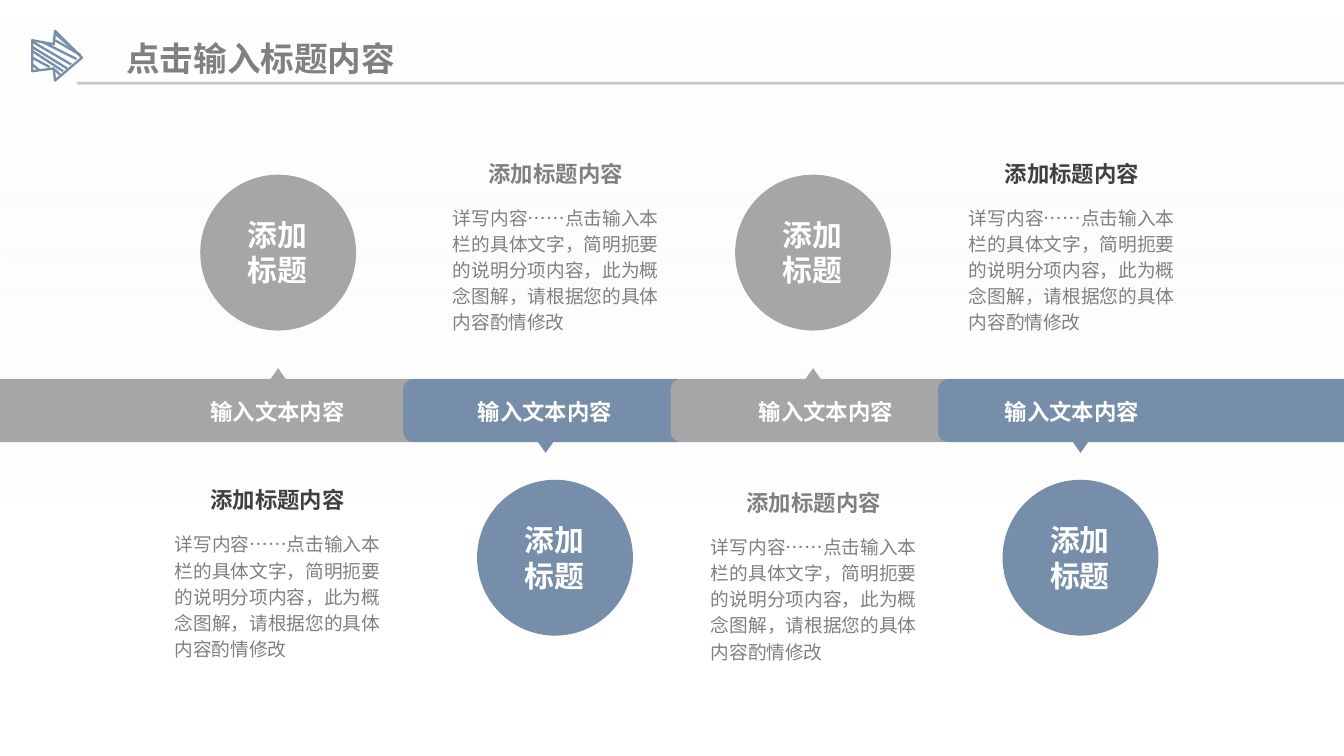
from lxml import etree
from pptx import Presentation
from pptx import util as u
from pptx.dml.color import RGBColor
from pptx.enum import shapes, text
from pptx.oxml import ns

WHITE = RGBColor(0xFF, 0xFF, 0xFF)
PALE = RGBColor(0xF2, 0xF2, 0xF2)
RULE = RGBColor(0xC4, 0xC7, 0xCB)
SILVER = RGBColor(0xA6, 0xA6, 0xA6)
BLUE = RGBColor(0x76, 0x8E, 0xA9)
GRAY = RGBColor(0x80, 0x80, 0x80)
DARK = RGBColor(0x40, 0x40, 0x40)

BODY = "详写内容……点击输入本栏的具体文字，简明扼要的说明分项内容，此为概念图解，请根据您的具体内容酌情修改"


class SlideBuilder:
    font = "Noto Sans CJK SC"

    def __init__(self, slide):
        self.slide = slide

    def shape(self, kind, left, top, width, height, color):
        shape = self.slide.shapes.add_shape(
            kind, u.Inches(left), u.Inches(top), u.Inches(width), u.Inches(height))
        shape.shadow.inherit = False
        shape.fill.solid()
        shape.fill.fore_color.rgb = color
        shape.line.fill.background()
        return shape

    def backdrop(self):
        shape = self.shape(shapes.MSO_SHAPE.RECTANGLE, 0, 0, 10, 5.63, WHITE)
        shape.fill.gradient()
        shape.fill.gradient_angle = 270
        settings = [(WHITE, 0, 55000), (PALE, 0.71, 0)]
        for stop, (color, position, _) in zip(shape.fill.gradient_stops, settings):
            stop.color.rgb = color
            stop.position = position
        color_nodes = shape.element.spPr.findall(".//" + ns.qn("a:srgbClr"))
        for node, (_, _, opacity) in zip(color_nodes, settings):
            etree.SubElement(node, ns.qn("a:alpha"), val=str(opacity))

    def freeform(self, contours):
        paths = [[(u.Inches(x), u.Inches(y)) for x, y in contour] for contour in contours]
        builder = self.slide.shapes.build_freeform(*paths[0][0])
        builder.add_line_segments(paths[0][1:], close=True)
        for start, *rest in paths[1:]:
            builder.move_to(*start)
            builder.add_line_segments(rest, close=False)
        shape = builder.convert_to_shape()
        shape.shadow.inherit = False
        return shape

    def title_rule(self):
        rule = self.freeform([[(0.57, 0.61), (10, 0.61), (10, 0.63), (0.58, 0.63)]])
        rule.fill.solid()
        rule.fill.fore_color.rgb = RULE
        rule.line.fill.background()

    def arrow_icon(self):
        outline = [(0.24, 0.3), (0.4, 0.33), (0.41, 0.23), (0.61, 0.43),
                   (0.41, 0.6), (0.4, 0.51), (0.24, 0.53)]
        hatches = [[(0.41, 0.25), (0.55, 0.37)], [(0.41, 0.3), (0.6, 0.41)],
                   [(0.31, 0.31), (0.57, 0.44)], [(0.24, 0.31), (0.53, 0.48)],
                   [(0.24, 0.35), (0.5, 0.51)], [(0.24, 0.38), (0.47, 0.53)],
                   [(0.24, 0.43), (0.37, 0.5)], [(0.24, 0.48), (0.29, 0.52)],
                   [(0.41, 0.52), (0.45, 0.56)]]
        icon = self.freeform([outline, *hatches])
        icon.fill.background()
        icon.line.color.rgb = BLUE
        icon.line.width = u.Pt(1.25)

    def label(self, words, left, top, width, height, size, color, bold=True,
              align=text.PP_ALIGN.CENTER, spacing=None, anchor=text.MSO_ANCHOR.TOP):
        box = self.slide.shapes.add_textbox(
            u.Inches(left), u.Inches(top), u.Inches(width), u.Inches(height))
        frame = box.text_frame
        frame.word_wrap = True
        frame.vertical_anchor = anchor
        frame.margin_left = frame.margin_right = frame.margin_top = frame.margin_bottom = 0
        frame.text = words
        para = frame.paragraphs[0]
        para.alignment = align
        if spacing:
            para.line_spacing = u.Pt(spacing)
        for span in para.runs:
            span.font.name = self.font
            span.font.size = u.Pt(size)
            span.font.bold = bold
            span.font.color.rgb = color
            etree.SubElement(span.font._element, ns.qn("a:ea"), typeface=self.font)

    def band(self, left, width, pointer_left, upward, color):
        self.shape(shapes.MSO_SHAPE.ROUNDED_RECTANGLE, left, 2.82, width, 0.47, color)
        pointer = self.shape(shapes.MSO_SHAPE.ISOSCELES_TRIANGLE, pointer_left,
                             2.74 if upward else 3.27, 0.14, 0.1, color)
        pointer.rotation = 0 if upward else 180

    def circle(self, left, top, color):
        self.shape(shapes.MSO_SHAPE.OVAL, left, top, 1.16, 1.16, color)
        self.label("添加标题", left + 0.27, top + 0.31, 0.61, 0.54, 16, WHITE)

    def description(self, left, top, color):
        self.label("添加标题内容", left, top, 1.31, 0.2, 12, color)
        self.label(BODY, left - 0.11, top + 0.32, 1.53, 0.98, 10, GRAY, bold=False,
                   align=text.PP_ALIGN.JUSTIFY, spacing=14)


def main():
    deck = Presentation()
    deck.slide_width = u.Inches(10)
    deck.slide_height = deck.slide_width * 9 // 16
    page = SlideBuilder(deck.slides.add_slide(deck.slide_layouts[6]))
    page.backdrop()
    page.title_rule()
    page.arrow_icon()
    page.label("点击输入标题内容", 0.94, 0.22, 2.33, 0.42, 18, GRAY,
               align=text.PP_ALIGN.LEFT, anchor=text.MSO_ANCHOR.MIDDLE)

    columns = [
        (-0.12, 3.25, 1.41, 1.49, 1.41, 3.62, DARK),
        (3, 2.12, 3.4, 3.55, 3.48, 1.19, GRAY),
        (4.99, 2.12, 5.49, 5.47, 5.4, 3.64, GRAY),
        (6.98, 3.14, 7.32, 7.46, 7.32, 1.19, DARK),
    ]
    for index, column in enumerate(columns):
        band_left, band_width, label_left, circle_left, text_left, text_top, ink = column
        upward = index % 2 == 0
        color = SILVER if upward else BLUE
        page.band(band_left, band_width, 2 + 1.99 * index, upward, color)
        page.label("输入文本内容", label_left, 2.96, 1.31, 0.2, 12, WHITE)
        page.circle(circle_left, 1.3 if upward else 3.57, color)
        page.description(text_left, text_top, ink)
    deck.save("out.pptx")


if __name__ == "__main__":
    main()
